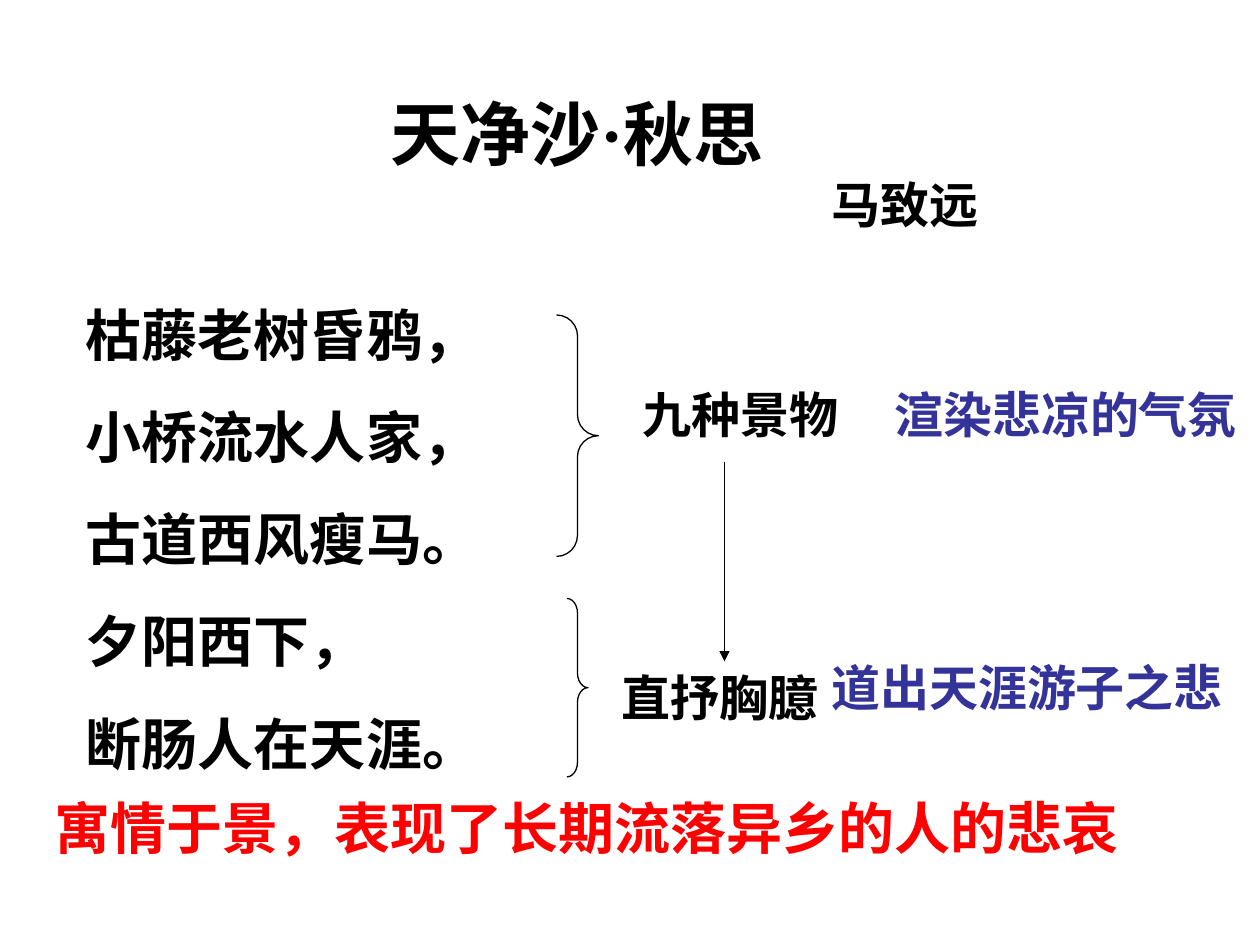
import pptx
import pptx.util
import pptx.dml.color
import pptx.enum.shapes
import pptx.enum.text
import pptx.oxml.ns
from dataclasses import dataclass
from lxml import etree


@dataclass(frozen=True)
class Theme:
    font: str = "Times New Roman"
    ink: str = "000000"
    mood: str = "333399"
    theme: str = "FF0000"
    title: int = 40
    verse: int = 32
    note: int = 28
    verse_gap: int = 20
    line: float = 0.75


class Board:
    """Places elements on a grid of 120 columns by 90 rows."""
    COLS, ROWS = 120, 90

    def __init__(self, prs, theme):
        self.theme = theme
        self.s = prs.slides.add_slide(prs.slide_layouts[6])
        self.col = prs.slide_width / self.COLS
        self.row = prs.slide_height / self.ROWS

    def grid(self, a, b, c, d):
        return (round(a * self.col), round(b * self.row),
                round(c * self.col), round(d * self.row))

    def text(self, box, lines, size, color, gap=0):
        tf = self.s.shapes.add_textbox(*self.grid(*box)).text_frame
        tf.word_wrap = True
        tf.auto_size = pptx.enum.text.MSO_AUTO_SIZE.SHAPE_TO_FIT_TEXT
        for i, line in enumerate(lines):
            p = tf.add_paragraph() if i else tf.paragraphs[0]
            p.text = line
            if i:
                p.space_before = pptx.util.Pt(gap)
            p.font.name = self.theme.font
            p.font.size = pptx.util.Pt(size)
            p.font.bold = True
            p.font.color.rgb = pptx.dml.color.RGBColor.from_string(color)

    def outline(self, sp):
        sp.line.color.rgb = pptx.dml.color.RGBColor.from_string(self.theme.ink)
        sp.line.width = pptx.util.Pt(self.theme.line)

    def brace(self, box, curl):
        sp = self.s.shapes.add_shape(
            pptx.enum.shapes.MSO_SHAPE.RIGHT_BRACE, *self.grid(*box))
        sp.adjustments[0] = curl
        sp.shadow.inherit = False
        sp.fill.background()
        self.outline(sp)

    def arrow(self, ends):
        sp = self.s.shapes.add_connector(
            pptx.enum.shapes.MSO_CONNECTOR.STRAIGHT, *self.grid(*ends))
        self.outline(sp)
        qn = pptx.oxml.ns.qn
        etree.SubElement(sp.line._get_or_add_ln(), qn("a:tailEnd"), type="triangle")
        etree.SubElement(sp._element.spPr, qn("a:effectLst"))


def main():
    prs = pptx.Presentation()
    prs.slide_width = pptx.util.Inches(10)
    prs.slide_height = pptx.util.Inches(7.5)
    t = Theme()
    board = Board(prs, t)

    # Title and poet
    board.text((36, 8, 46, 9.2), ["天净沙·秋思"], t.title, t.ink)
    board.text((78, 16, 23, 6.8), ["马致远"], t.note, t.ink)

    # Poem
    poem = ["枯藤老树昏鸦，", "小桥流水人家，", "古道西风瘦马。",
            "夕阳西下，", "断肠人在天涯。"]
    board.text((7, 28, 46, 46.6), poem, t.verse, t.ink, t.verse_gap)

    # Braces grouping the verses
    board.brace((53, 30, 4, 23), 0.5)
    board.brace((54, 57, 2, 17), 0.7)

    # Technique and effect of each group
    notes = [((60, 36, 23), "九种景物", t.ink),
             ((84, 36, 36), "渲染悲凉的气氛", t.mood),
             ((58, 63, 27.2), "直抒胸臆", t.ink),
             ((78, 62, 42), "道出天涯游子之悲", t.mood)]
    for place, words, color in notes:
        board.text((*place, 6.8), [words], t.note, color)
    board.arrow((69, 44, 69, 63))

    # Theme of the poem
    board.text((4, 75, 107, 7.7), ["寓情于景，表现了长期流落异乡的人的悲哀"],
               t.verse, t.theme)

    prs.save("out.pptx")


if __name__ == "__main__":
    main()
